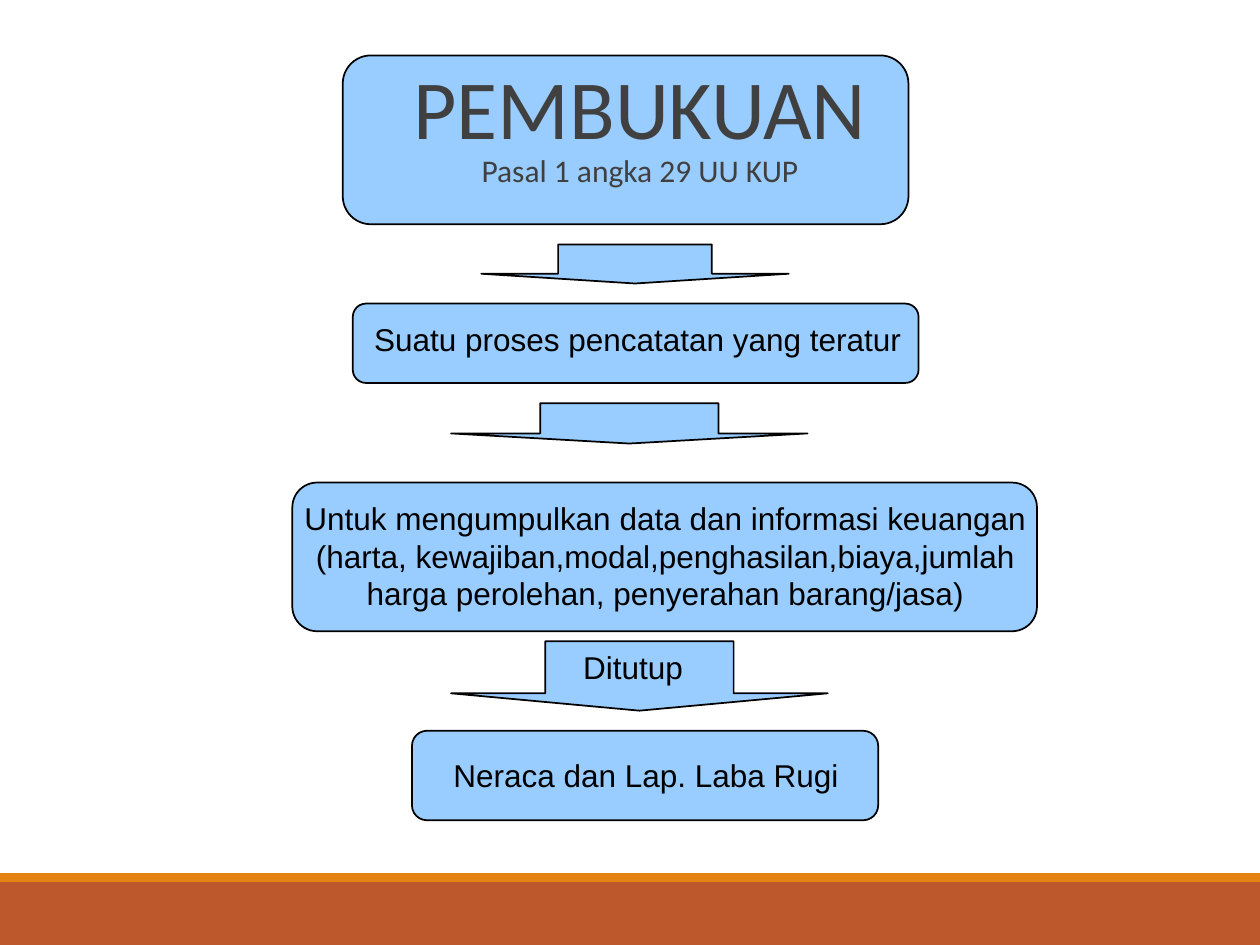
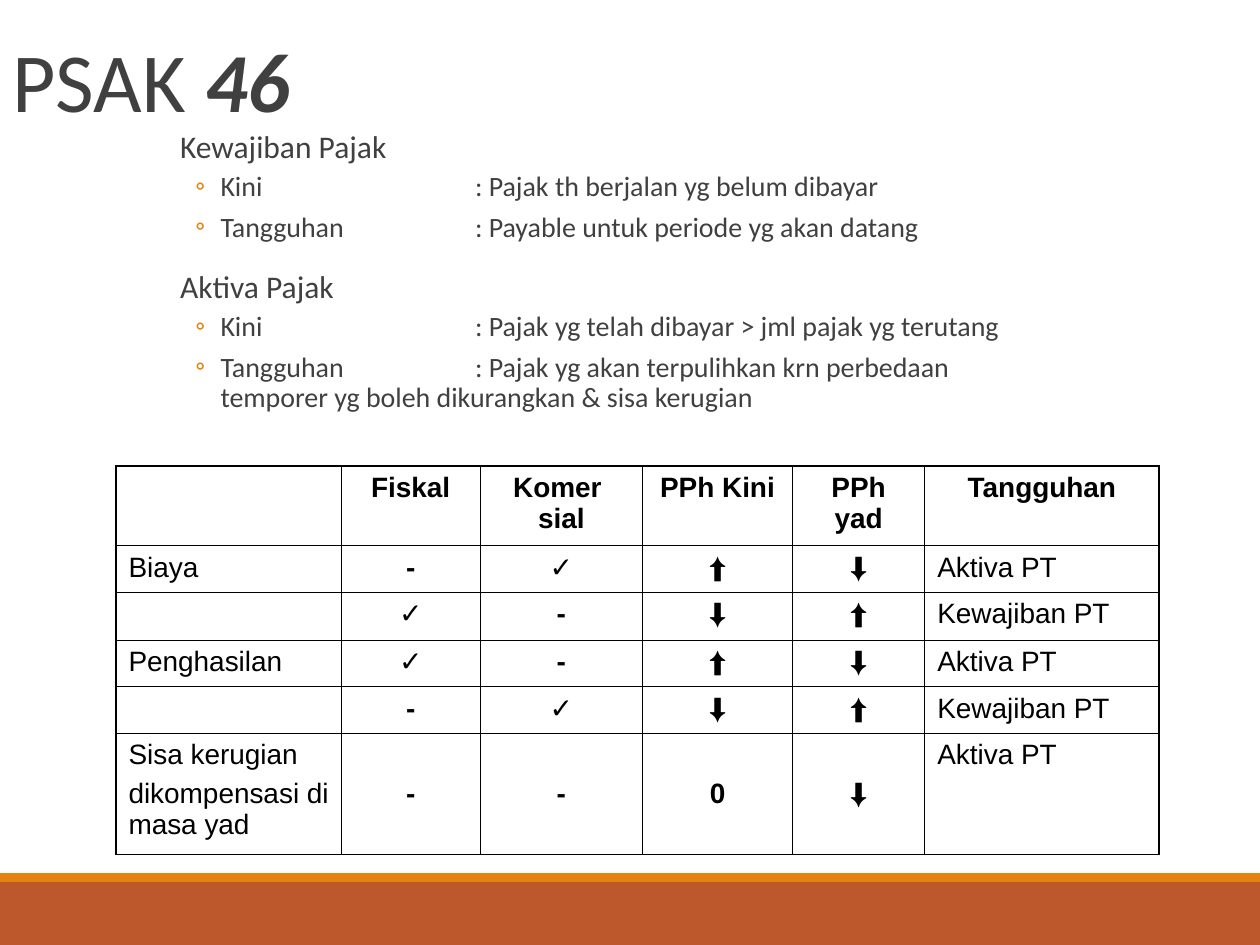
import pptx
import pptx.dml.color
import pptx.enum.shapes
import pptx.enum.text
import pptx.oxml.ns
import pptx.util
from lxml import etree

Inches = pptx.util.Inches
Pt = pptx.util.Pt
SHAPE = pptx.enum.shapes.MSO_SHAPE
ALIGN = pptx.enum.text.PP_ALIGN
ANCHOR = pptx.enum.text.MSO_ANCHOR
FIT = pptx.enum.text.MSO_AUTO_SIZE
qn = pptx.oxml.ns.qn

BLACK, TEXT_GREY, SKY = "000000", "404040", "99CCFF"
ORANGE, RUST = "E48312", "BD582C"
HEADING_FONT, PLAIN_FONT = "Calibri", "Arial"
TITLE_ONLY, TITLE_AND_BODY = 5, 1


def color(hex_code):
    return pptx.dml.color.RGBColor.from_string(hex_code)


def place(shape, box):
    shape.left, shape.top, shape.width, shape.height = map(Inches, box)


def write(paragraph, text, size=18, font=PLAIN_FONT, ink=BLACK, bold=False,
          italic=False, align=ALIGN.LEFT, line=None, before=None, after=None):
    """Add text to a paragraph; each newline becomes a line break."""
    paragraph.alignment = align
    if line is not None:
        paragraph.line_spacing = line
    if before is not None:
        paragraph.space_before = Pt(before)
    if after is not None:
        paragraph.space_after = Pt(after)
    for number, part in enumerate(text.split("\n")):
        if number:
            paragraph.add_line_break()
        if part:
            run = paragraph.add_run()
            run.text = part
            run.font.size, run.font.name = Pt(size), font
            run.font.bold, run.font.italic = bold, italic
            run.font.color.rgb = color(ink)


def next_paragraph(frame, number):
    return frame.add_paragraph() if number else frame.paragraphs[0]


def add_block(slide, preset, box, fill, outline=None):
    block = slide.shapes.add_shape(preset, *map(Inches, box))
    block.shadow.inherit = False
    block.fill.solid()
    block.fill.fore_color.rgb = color(fill)
    if outline:
        block.line.color.rgb = color(outline)
        block.line.width = Pt(1)
    else:
        block.line.fill.background()
    return block


def add_master_bands(prs, slide):
    """Draw the footer bands and move them behind everything on the master."""
    bands = [((0, 7, 10, 0.5), RUST), ((0, 6.93, 10, 0.07), ORANGE)]
    for number, (box, fill) in enumerate(bands):
        band = add_block(slide, SHAPE.RECTANGLE, box, fill).element
        band.nvSpPr.cNvPr.set("id", str(101 + number))
        prs.slide_master.shapes.element.insert(2 + number, band)


def add_title(slide, box, parts, anchor, align):
    """Fill the title placeholder with (text, format) parts."""
    title = slide.shapes.title
    place(title, box)
    frame = title.text_frame
    frame.auto_size = FIT.NONE
    frame.vertical_anchor = anchor
    for text, style in parts:
        style = {"size": 48, **style}
        write(frame.paragraphs[0], text, font=HEADING_FONT, ink=TEXT_GREY,
              align=align, line=0.85, **style)
    slide.shapes.element.append(title.element)


def add_label(slide, box, lines, align=ALIGN.LEFT):
    frame = slide.shapes.add_textbox(*map(Inches, box)).text_frame
    frame.word_wrap = False
    frame.auto_size = FIT.SHAPE_TO_FIT_TEXT
    for number, text in enumerate(lines):
        write(next_paragraph(frame, number), text, align=align)


def build_bookkeeping_flow(slide):
    stages = [(2.72, 0.44, 4.49, 1.34), (2.8, 2.41, 4.49, 0.63),
              (2.32, 3.83, 5.91, 1.18), (3.27, 5.8, 3.7, 0.71)]
    arrows = [(3.82, 1.94, 2.44, 0.31), (3.58, 3.2, 2.83, 0.32),
              (3.58, 5.09, 2.99, 0.55)]
    for box in stages:
        add_block(slide, SHAPE.ROUNDED_RECTANGLE, box, SKY, BLACK)
    for box in arrows:
        arrow = add_block(slide, SHAPE.DOWN_ARROW, box, SKY, BLACK)
        arrow.adjustments[0], arrow.adjustments[1] = 0.5, 0.25

    add_title(slide, (0.58, 0.3, 9, 1.25),
              [("PEMBUKUAN\n", {}), ("Pasal 1 angka 29 UU KUP", {"size": 18})],
              ANCHOR.BOTTOM, ALIGN.CENTER)
    add_label(slide, (2.87, 2.49, 4.38, 0.4),
              ["Suatu proses pencatatan yang teratur"])
    add_label(slide, (2.3, 3.91, 5.96, 1),
              ["Untuk mengumpulkan data dan informasi keuangan",
               "(harta, kewajiban,modal,penghasilan,biaya,jumlah",
               "harga perolehan, penyerahan barang/jasa)"], ALIGN.CENTER)
    add_label(slide, (4.53, 5.09, 0.99, 0.4), ["Ditutup"])
    add_label(slide, (3.5, 5.95, 3.26, 0.4), ["Neraca dan Lap. Laba Rugi"])


def set_list_format(paragraph, margin, indent, bullet=None, tab=None):
    props = paragraph._p.get_or_add_pPr()
    props.set("marL", str(Inches(margin)))
    props.set("indent", str(Inches(indent)))
    if bullet:
        bullet_color = etree.SubElement(props, qn("a:buClr"))
        etree.SubElement(bullet_color, qn("a:srgbClr"), val=ORANGE)
        etree.SubElement(props, qn("a:buFont"), typeface=HEADING_FONT)
        etree.SubElement(props, qn("a:buChar"), char=bullet)
    else:
        etree.SubElement(props, qn("a:buNone"))
    if tab:
        tabs = etree.SubElement(props, qn("a:tabLst"))
        etree.SubElement(tabs, qn("a:tab"), pos=str(Inches(tab)), algn="l")


def add_definitions(slide, box, groups):
    """Fill the body placeholder with headings and their tabbed terms."""
    body = slide.placeholders[1]
    place(body, box)
    frame = body.text_frame
    frame.auto_size = FIT.NONE
    frame.vertical_anchor = ANCHOR.TOP
    frame.margin_left = frame.margin_right = 0
    look = {"font": HEADING_FONT, "ink": TEXT_GREY, "line": 0.9}
    for number, (heading, terms) in enumerate(groups):
        paragraph = next_paragraph(frame, number)
        write(paragraph, heading, before=12, after=2, **look)
        set_list_format(paragraph, 0.1, 0)
        for term, meaning in terms:
            paragraph = frame.add_paragraph()
            paragraph.level = 1
            write(paragraph, f"{term}\t: {meaning}", size=16, before=2,
                  after=4, **look)
            set_list_format(paragraph, 0.42, -0.2, "◦", 2.44)


def set_borders(cell, widths):
    """Set left, right, top and bottom border widths in points."""
    props = cell._tc.get_or_add_tcPr()
    for number, (side, width) in enumerate(zip("LRTB", widths)):
        border = etree.Element(qn(f"a:ln{side}"), w=str(Pt(width)))
        fill = etree.SubElement(border, qn("a:solidFill"))
        etree.SubElement(fill, qn("a:srgbClr"), val=BLACK)
        props.insert(number, border)


def add_tax_table(slide, box, widths, heights, rows):
    table = slide.shapes.add_table(len(rows), len(widths),
                                   *map(Inches, box)).table
    table.first_row = table.horz_banding = False
    for column, width in zip(table.columns, widths):
        column.width = Inches(width)
    for row, height in zip(table.rows, heights):
        row.height = Inches(height)

    last_row, last_col = len(rows) - 1, len(widths) - 1
    for r, texts in enumerate(rows):
        for c, text in enumerate(texts):
            cell = table.cell(r, c)
            cell.fill.background()
            edges = (c == 0, c == last_col, r == 0, r == last_row)
            set_borders(cell, [1.08 if outer else 0.45 for outer in edges])
            marked = r == 0 or 0 < c < last_col
            if r == last_row and marked:
                cell.vertical_anchor = ANCHOR.MIDDLE
            for number, line in enumerate(text if isinstance(text, list) else [text]):
                paragraph = next_paragraph(cell.text_frame, number)
                write(paragraph, line, size=16, bold=marked, before=4,
                      align=ALIGN.CENTER if marked else ALIGN.LEFT)
                if not line:
                    etree.SubElement(paragraph._p, qn("a:endParaRPr"), sz="1600")


def build_deferred_tax(slide):
    add_title(slide, (0, 0.3, 9, 1.25),
              [("PSAK ", {}), ("46", {"bold": True, "italic": True})],
              ANCHOR.TOP, ALIGN.LEFT)
    add_definitions(slide, (1.33, 0.99, 8.67, 2.6), [
        ("Kewajiban Pajak", [
            ("Kini", "Pajak th berjalan yg belum dibayar"),
            ("Tangguhan", "Payable untuk periode yg akan datang")]),
        ("Aktiva Pajak", [
            ("Kini", "Pajak yg telah dibayar > jml pajak yg terutang"),
            ("Tangguhan", "Pajak yg akan terpulihkan krn perbedaan\n"
                          "temporer yg boleh dikurangkan & sisa kerugian")]),
    ])
    add_tax_table(
        slide, (0.92, 3.7, 8.28, 3.08),
        [1.79, 1.1, 1.29, 1.19, 1.05, 1.86],
        [0.63, 0.37, 0.38, 0.37, 0.37, 0.96],
        [["", "Fiskal", "Komer \nsial", "PPh Kini", "PPh yad", "Tangguhan"],
         ["Biaya", "-", "✓", "⬆", "⬇", "Aktiva PT"],
         ["", "✓", "-", "⬇", "⬆", "Kewajiban PT"],
         ["Penghasilan", "✓", "-", "⬆", "⬇", "Aktiva PT"],
         ["", "-", "✓", "⬇", "⬆", "Kewajiban PT"],
         [["Sisa kerugian", "dikompensasi di masa yad"],
          "-", "-", "0", "⬇", "Aktiva PT"]])


def main():
    prs = pptx.Presentation()
    prs.slide_width, prs.slide_height = Inches(10), Inches(7.5)
    flow = prs.slides.add_slide(prs.slide_layouts[TITLE_ONLY])
    add_master_bands(prs, flow)
    build_bookkeeping_flow(flow)
    build_deferred_tax(prs.slides.add_slide(prs.slide_layouts[TITLE_AND_BODY]))
    prs.save("out.pptx")


if __name__ == "__main__":
    main()
